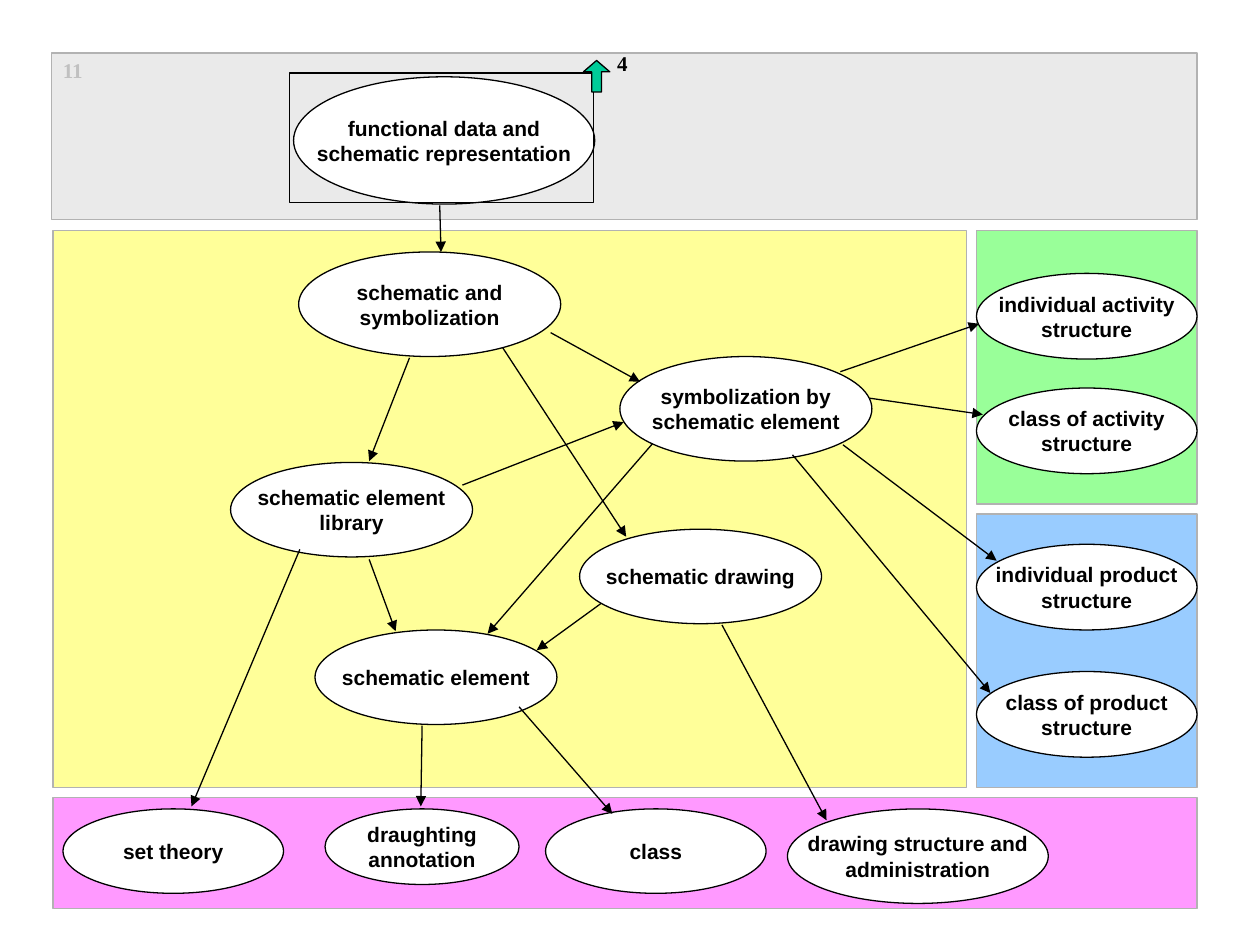
from typing import NamedTuple

import pptx
import pptx.dml.color
import pptx.enum.shapes
import pptx.enum.text
import pptx.oxml
import pptx.oxml.ns
import pptx.util

Inches = pptx.util.Inches
Kind = pptx.enum.shapes.MSO_SHAPE
Align = pptx.enum.text.PP_ALIGN

COLORS = {
    "white": "FFFFFF", "black": "000000", "edge": "B2B2B2", "faint": "C0C0C0",
    "gray": "EAEAEA", "yellow": "FFFF99", "green": "99FF99",
    "blue": "99CCFF", "pink": "FF99FF", "teal": "00CC99",
}


class Box(NamedTuple):
    left: float
    top: float
    width: float
    height: float


class Zone(NamedTuple):
    color: str
    box: Box


class Node(NamedTuple):
    text: str
    box: Box


class Link(NamedTuple):
    x1: float
    y1: float
    x2: float
    y2: float


class Label(NamedTuple):
    text: str
    color: str
    box: Box


SIDE, SIDE_W, SIDE_H = 7.75, 1.75, 0.68
BASE = 6.42
MID_W, MID_H = 1.92, 0.75

ZONES = [
    Zone("gray", Box(0.41, 0.42, 9.09, 1.32)),
    Zone("yellow", Box(0.42, 1.83, 7.25, 4.42)),
    Zone("green", Box(SIDE, 1.83, SIDE_W, 2.17)),
    Zone("blue", Box(SIDE, 4.08, SIDE_W, 2.17)),
    Zone("pink", Box(0.42, 6.33, 9.08, 0.88)),
]
NODES = [
    Node("functional data and\nschematic representation", Box(2.33, 0.61, 2.39, 1.01)),
    Node("schematic and\nsymbolization", Box(2.37, 2, 2.08, 0.83)),
    Node("symbolization by\nschematic element", Box(4.92, 2.83, 2, 0.83)),
    Node("schematic element\nlibrary", Box(1.83, 3.67, MID_W, MID_H)),
    Node("schematic drawing", Box(4.6, 4.2, MID_W, MID_H)),
    Node("schematic element", Box(2.5, 5, MID_W, MID_H)),
    Node("individual activity\nstructure", Box(SIDE, 2.17, SIDE_W, SIDE_H)),
    Node("class of activity\nstructure", Box(SIDE, 3.08, SIDE_W, SIDE_H)),
    Node("individual product\nstructure", Box(SIDE, 4.32, SIDE_W, SIDE_H)),
    Node("class of product\nstructure", Box(SIDE, 5.33, SIDE_W, SIDE_H)),
    Node("set theory", Box(0.5, BASE, 1.75, 0.67)),
    Node("draughting\nannotation", Box(2.58, BASE, 1.54, 0.6)),
    Node("class", Box(4.33, BASE, 1.75, 0.67)),
    Node("drawing structure and\nadministration", Box(6.25, BASE, 2.07, 0.75)),
]
LINKS = [
    Link(3.49, 1.63, 3.5, 2),
    Link(3.25, 2.84, 2.93, 3.66),
    Link(3.99, 2.76, 4.97, 4.26),
    Link(4.37, 2.64, 5.08, 3.03),
    Link(3.67, 3.85, 4.95, 3.35),
    Link(2.93, 4.44, 3.14, 5.01),
    Link(2.38, 4.36, 1.52, 6.4),
    Link(5.18, 3.52, 3.87, 5.03),
    Link(4.77, 4.79, 4.26, 5.16),
    Link(5.73, 4.96, 6.56, 6.51),
    Link(3.35, 5.76, 3.34, 6.4),
    Link(4.12, 5.61, 4.86, 6.46),
    Link(6.67, 2.95, 7.77, 2.57),
    Link(6.9, 3.16, 7.8, 3.29),
    Link(6.69, 3.53, 7.91, 4.45),
    Link(6.29, 3.61, 7.86, 5.5),
]
LABELS = [
    Label("11", "faint", Box(0.4, 0.41, 0.36, 0.3)),
    Label("4", "black", Box(4.8, 0.35, 0.28, 0.3)),
]


def shade(name: str) -> pptx.dml.color.RGBColor:
    return pptx.dml.color.RGBColor.from_string(COLORS[name])


def draw_shape(slide, kind, box: Box, fill: str = "", edge: str = "black"):
    """Add a preset shape; an empty fill name leaves it hollow."""
    shape = slide.shapes.add_shape(kind, *map(Inches, box))
    shape.shadow.inherit = False
    if fill:
        shape.fill.solid()
        shape.fill.fore_color.rgb = shade(fill)
    else:
        shape.fill.background()
    shape.line.color.rgb = shade(edge)
    shape.line.width = pptx.util.Pt(0.75)
    return shape


def write(shape, text: str, face: str, color: str, align) -> None:
    frame = shape.text_frame
    frame.word_wrap = False
    frame.text = text
    for par in frame.paragraphs:
        par.alignment = align
        par.font.name = face
        par.font.size = pptx.util.Pt(12)
        par.font.bold = True
        par.font.color.rgb = shade(color)


def draw_node(slide, node: Node) -> None:
    oval = draw_shape(slide, Kind.OVAL, node.box, "white")
    oval.text_frame.vertical_anchor = pptx.enum.text.MSO_ANCHOR.MIDDLE
    write(oval, node.text, "Arial", "black", Align.CENTER)


def draw_link(slide, link: Link) -> None:
    line = slide.shapes.add_connector(
        pptx.enum.shapes.MSO_CONNECTOR.STRAIGHT, *map(Inches, link))
    line.line.color.rgb = shade("black")
    line.line.width = pptx.util.Pt(0.75)
    tail = pptx.oxml.parse_xml(
        f'<a:tailEnd {pptx.oxml.ns.nsdecls("a")} type="triangle"/>')
    line.line._get_or_add_ln().append(tail)
    props = line._element.spPr
    props.append(pptx.oxml.parse_xml(
        f'<a:effectLst {pptx.oxml.ns.nsdecls("a")}/>'))


def draw_label(slide, label: Label) -> None:
    box = slide.shapes.add_textbox(*map(Inches, label.box))
    write(box, label.text, "Times New Roman", label.color, Align.LEFT)


def main() -> None:
    deck = pptx.Presentation()
    deck.slide_width, deck.slide_height = Inches(10), Inches(7.5)
    slide = deck.slides.add_slide(deck.slide_layouts[6])
    for zone in ZONES:
        draw_shape(slide, Kind.RECTANGLE, zone.box, zone.color, "edge")
    for node in NODES:
        draw_node(slide, node)
    draw_shape(slide, Kind.RECTANGLE, Box(2.3, 0.58, 2.41, 1.03))
    arrow = draw_shape(slide, Kind.UP_ARROW, Box(4.63, 0.48, 0.21, 0.25), "teal")
    arrow.adjustments[0] = 0.37
    arrow.adjustments[1] = 0.43
    for link in LINKS:
        draw_link(slide, link)
    for label in LABELS:
        draw_label(slide, label)
    deck.save("out.pptx")


if __name__ == "__main__":
    main()
